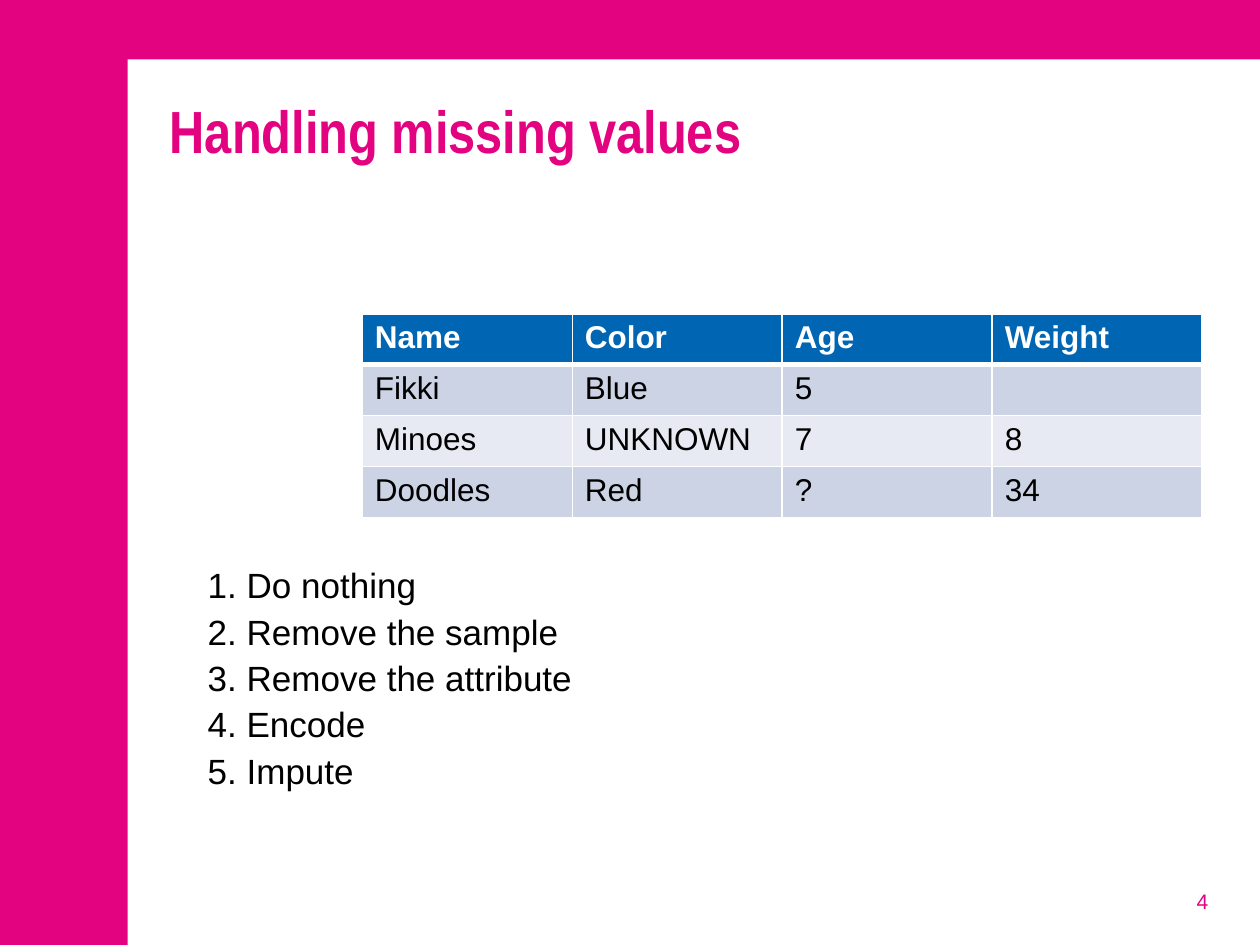
import pptx
import pptx.util
import pptx.dml.color
import pptx.enum.shapes
import pptx.enum.text
import pptx.oxml
import pptx.oxml.ns

Pt = pptx.util.Pt
RGBColor = pptx.dml.color.RGBColor
ALIGN = pptx.enum.text.PP_ALIGN
ANCHOR = pptx.enum.text.MSO_ANCHOR

MAGENTA = RGBColor(0xE3, 0x02, 0x7F)
WHITE = RGBColor(0xFF, 0xFF, 0xFF)
BLACK = RGBColor(0, 0, 0)
BLUE = RGBColor(0x00, 0x66, 0xB3)
BAND_DARK = RGBColor(0xCC, 0xD3, 0xE5)
BAND_LIGHT = RGBColor(0xE7, 0xEA, 0xF2)

SAMPLES = [
    ["Name", "Color", "Age", "Weight"],
    ["Fikki", "Blue", "5", ""],
    ["Minoes", "UNKNOWN", "7", "8"],
    ["Doodles", "Red", "?", "34"],
]
OPTIONS = [
    "1. Do nothing",
    "2. Remove the sample",
    "3. Remove the attribute",
    "4. Encode",
    "5. Impute",
]
HEADER_HEIGHT, ROW_HEIGHT = 27, 29.2


def style_font(font, size, color, name="Arial", bold=False):
    font.name, font.size, font.bold = name, Pt(size), bold
    font.color.rgb = color


def add_panel(page, left, top, width, height):
    panel = page.shapes.add_shape(
        pptx.enum.shapes.MSO_SHAPE.RECTANGLE,
        Pt(left), Pt(top), Pt(width), Pt(height))
    panel.shadow.inherit = False
    panel.fill.solid()
    panel.fill.fore_color.rgb = WHITE
    panel.line.fill.background()


def add_text(page, left, top, width, height, lines, size, color,
             name="Arial", bold=False, align=ALIGN.LEFT, anchor=ANCHOR.TOP):
    """Add a wrapping text box with one paragraph per line; return its frame."""
    box = page.shapes.add_textbox(Pt(left), Pt(top), Pt(width), Pt(height))
    frame = box.text_frame
    frame.word_wrap = True
    frame.vertical_anchor = anchor
    frame.text = "\n".join(lines)
    for para in frame.paragraphs:
        para.alignment = align
        style_font(para.font, size, color, name, bold)
    return frame


def add_options(page, left, top, width, height):
    frame = add_text(page, left, top, width, height, OPTIONS, 20, BLACK)
    for para in frame.paragraphs:
        para.line_spacing = 0.9
        para.space_before = Pt(4.9)


def set_border(cell, side, width):
    """Draw a white line on one side (L, R, T or B), before the cell's fill is set."""
    line = pptx.oxml.parse_xml(
        f'<a:ln{side} {pptx.oxml.ns.nsdecls("a")} w="{Pt(width)}">'
        f'<a:solidFill><a:srgbClr val="{WHITE}"/></a:solidFill></a:ln{side}>')
    cell._tc.get_or_add_tcPr().append(line)


def style_cell(cell, row):
    is_header = row == 0
    for side in "LRTB":
        thick = (is_header and side == "B") or (row == 1 and side == "T")
        set_border(cell, side, 3 if thick else 1)
    cell.fill.solid()
    band = BAND_DARK if row % 2 else BAND_LIGHT
    cell.fill.fore_color.rgb = BLUE if is_header else band
    style_font(cell.text_frame.paragraphs[0].font, 18,
               WHITE if is_header else BLACK, bold=is_header)


def add_sample_table(page, left, top, width, height):
    table = page.shapes.add_table(
        len(SAMPLES), len(SAMPLES[0]),
        Pt(left), Pt(top), Pt(width), Pt(height)).table
    for column in table.columns:
        column.width = Pt(width / len(SAMPLES[0]))
    for row, values in enumerate(SAMPLES):
        table.rows[row].height = Pt(ROW_HEIGHT if row else HEADER_HEIGHT)
        for column, value in enumerate(values):
            cell = table.cell(row, column)
            cell.text = value
            style_cell(cell, row)


def main():
    deck = pptx.Presentation()
    deck.slide_width, deck.slide_height = Pt(720), Pt(540)
    page = deck.slides.add_slide(deck.slide_layouts[6])
    page.background.fill.solid()
    page.background.fill.fore_color.rgb = MAGENTA

    add_panel(page, 73, 34, 647, 506)
    add_text(page, 530, 500.5, 167.5, 28.8, ["4"], 12, MAGENTA,
             align=ALIGN.RIGHT, anchor=ANCHOR.MIDDLE)
    add_text(page, 90, 50.4, 607.5, 96.5, ["Handling missing values"], 34,
             MAGENTA, name="Arial Narrow", bold=True)
    add_options(page, 111.6, 321.3, 586, 161)
    add_sample_table(page, 207, 179.5, 480,
                     HEADER_HEIGHT + ROW_HEIGHT * (len(SAMPLES) - 1))
    deck.save("out.pptx")


if __name__ == "__main__":
    main()
